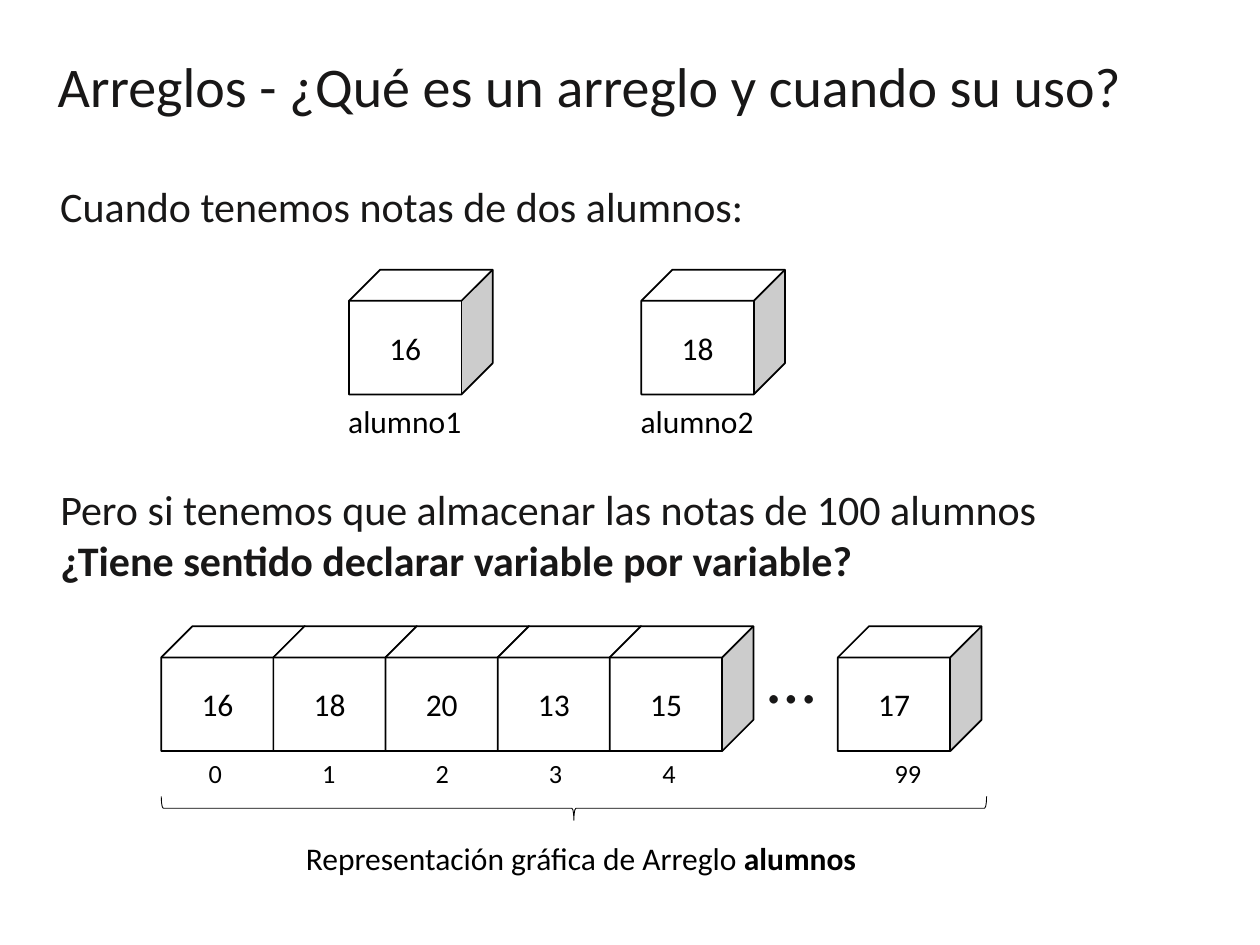
from pptx import Presentation
from pptx.dml.color import RGBColor
from pptx.enum.shapes import MSO_SHAPE
from pptx.enum.text import MSO_ANCHOR, PP_ALIGN
from pptx.util import Inches, Pt

COLORS = {"ink": "181717", "black": "000000", "white": "FFFFFF"}
FONT = "Calibri"
COLS, ROWS = 100, 75
UNIT = Inches(10) // COLS
CUBE = (11.4, 9.9)
STEP = 8.9


def tint(name):
    """Return the named colour."""
    return RGBColor.from_string(COLORS[name])


def place(box):
    """Turn a box in grid columns and rows into slide lengths."""
    return [round(side * UNIT) for side in box]


def style(frame, size, color, align=PP_ALIGN.LEFT):
    """Format every run of a text frame."""
    for para in frame.paragraphs:
        para.alignment = align
        for run in para.runs:
            run.font.name = FONT
            run.font.size = Pt(size)
            run.font.color.rgb = tint(color)


def label(slide, box, text, size, color="black", align=PP_ALIGN.LEFT, wrap=True):
    """Add a text box and return its frame."""
    frame = slide.shapes.add_textbox(*place(box)).text_frame
    frame.word_wrap = wrap
    frame.text = text
    style(frame, size, color, align)
    return frame


def cube(slide, left, top, text):
    """Add a white cube that holds a grade."""
    shape = slide.shapes.add_shape(MSO_SHAPE.CUBE, *place((left, top, *CUBE)))
    shape.shadow.inherit = False
    shape.fill.solid()
    shape.fill.fore_color.rgb = tint("white")
    shape.line.color.rgb = tint("black")
    shape.line.width = Pt(1)
    frame = shape.text_frame
    frame.text = text
    frame.vertical_anchor = MSO_ANCHOR.MIDDLE
    style(frame, 18, "black", PP_ALIGN.CENTER)


def brace(slide, box):
    """Add a brace that opens upward across the given box."""
    left, top, wide, high = box
    turned = (left + (wide - high) / 2, top + (high - wide) / 2, high, wide)
    shape = slide.shapes.add_shape(MSO_SHAPE.LEFT_BRACE, *place(turned))
    shape.rotation = 270
    shape.shadow.inherit = False
    shape.fill.background()
    shape.line.color.rgb = tint("black")
    shape.line.width = Pt(0.5)


def title(slide, box):
    """Place the slide title."""
    label(slide, box, "Arreglos - ¿Qué es un arreglo y cuando su uso?", 32, "ink", wrap=False)


def pair(slide, box):
    """Place the two separate variables under their sentence."""
    left, top, wide, _ = box
    label(slide, (left, top, wide, 5), "Cuando tenemos notas de dos alumnos:", 24, "ink", wrap=False)
    for index, (grade, name) in enumerate([("16", "alumno1"), ("18", "alumno2")]):
        start = left + 23.9 + index * 23.2
        cube(slide, start, top + 7.6, grade)
        label(slide, (start - 1.05, top + 17.6, 12.5, 4), name, 18)


def query(slide, box):
    """Place the question about one hundred students."""
    text = ("Pero si tenemos que almacenar las notas de 100 alumnos\n"
            "¿Tiene sentido declarar variable por variable?")
    frame = label(slide, box, text, 24, "ink", wrap=False)
    frame.paragraphs[1].runs[0].font.bold = True


def array(slide, box):
    """Place the array with its indexes, brace and caption."""
    left, top, wide, _ = box
    base = top + CUBE[1]
    last = left + 53.7
    for index, grade in enumerate(["16", "18", "20", "13", "15"]):
        cube(slide, left + index * STEP, top, grade)
        label(slide, (left - 0.5 + index * 9, base, 9.6, 3.5), str(index), 15, align=PP_ALIGN.CENTER)
    label(slide, (left + 47.1, top + 0.1, 6.3, 7.7), "…", 40, "ink")
    cube(slide, last, top, "17")
    label(slide, (last - 0.7, base, 12.5, 3.5), "99", 15, align=PP_ALIGN.CENTER)
    brace(slide, (left, top + 13.5, wide, 1.9))
    caption = label(slide, (left + 10.5, top + 16.4, 46.1, 4), "Representación gráfica de Arreglo ", 18)
    name = caption.paragraphs[0].add_run()
    name.text = "alumnos"
    style(caption, 18, "black")
    name.font.bold = True


def main():
    """Build and save the slide."""
    deck = Presentation()
    deck.slide_width, deck.slide_height = COLS * UNIT, ROWS * UNIT
    slide = deck.slides.add_slide(deck.slide_layouts[6])
    title(slide, (3.6, 3.6, 87.3, 11.8))
    pair(slide, (3.8, 13.8, 56.7, 21.6))
    query(slide, (3.8, 37.9, 80.2, 9.1))
    array(slide, (12.8, 49.7, 65.5, 20.4))
    deck.save("out.pptx")


if __name__ == "__main__":
    main()
